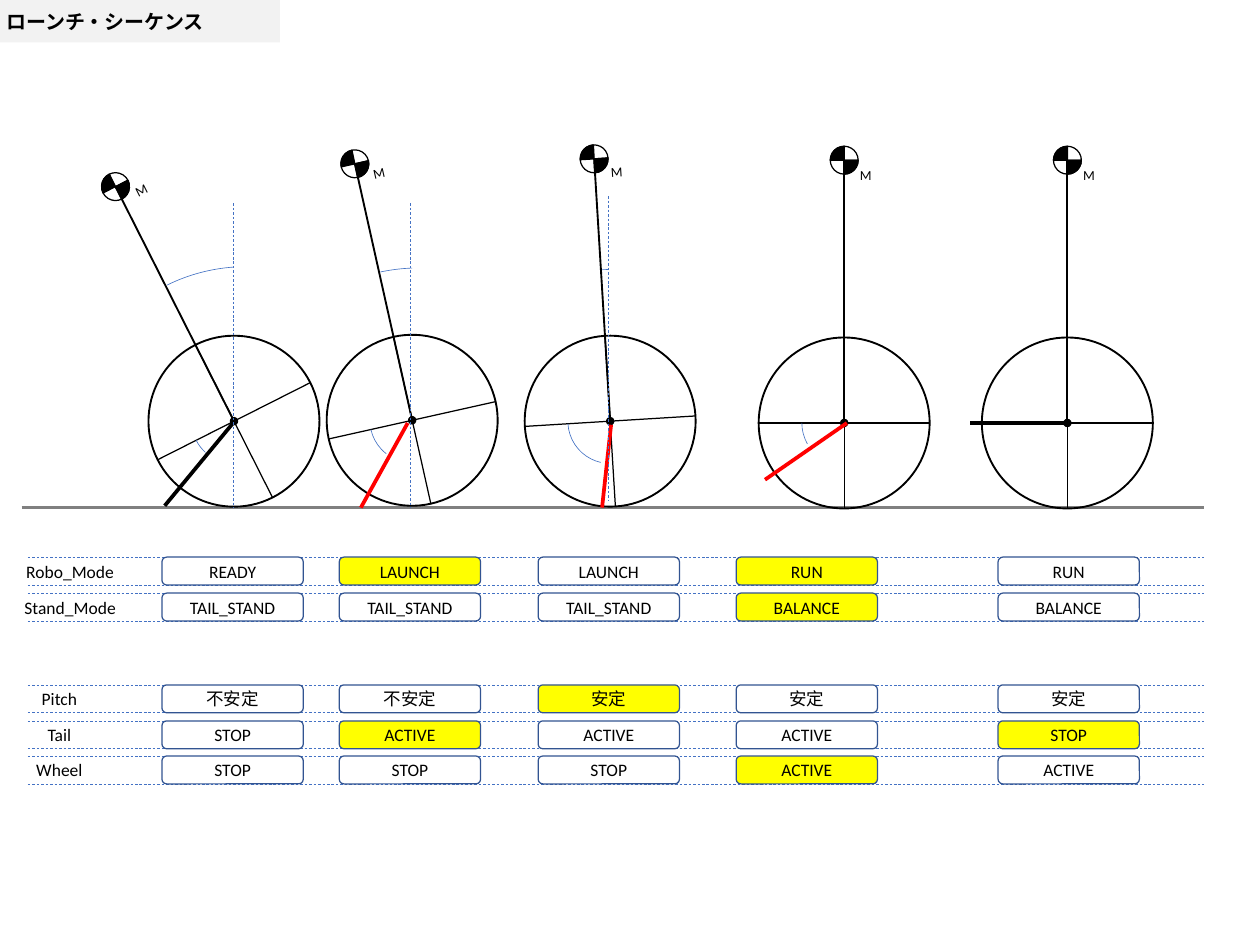
from math import cos, radians, sin

from lxml.etree import SubElement
from pptx import Presentation
from pptx.dml.color import RGBColor
from pptx.enum.dml import MSO_LINE as Dash
from pptx.enum.shapes import MSO_CONNECTOR as Link, MSO_SHAPE as Form
from pptx.enum.text import MSO_ANCHOR as Anchor, MSO_AUTO_SIZE as Fit, PP_ALIGN as Align
from pptx.oxml.ns import qn
from pptx.util import Inches, Pt

BLACK = RGBColor(0, 0, 0)
WHITE = RGBColor(255, 255, 255)
YELLOW = RGBColor(255, 255, 0)
RED = RGBColor(255, 0, 0)
GRAY = RGBColor(0x80, 0x80, 0x80)
PALE = RGBColor(0xF2, 0xF2, 0xF2)
BLUE = RGBColor(0x44, 0x72, 0xC4)
NAVY = RGBColor(0x32, 0x54, 0x91)

FONT = "Calibri"
LEFT, RIGHT, HIGH = 0.31, 13.38, 0.31
COLS = (1.8, 3.77, 5.98, 8.18, 11.09)

# pivot x, pivot y, tilt, start of tail arc, start of tilt arc
ROBOTS = (
    (2.6, 4.68, -26.8, 95.51, 175.64),
    (4.58, 4.67, -12.6, 84.17, 168.41),
    (6.78, 4.68, -3.5, 63.81, 163.44),
    (9.38, 4.7, 0, 90.21, None),
    (11.86, 4.7, 0, None, None),
)
TAILS = (
    ((2.59, 4.7), (1.83, 5.62), BLACK),
    ((4.53, 4.7), (4.01, 5.64), RED),
    ((6.79, 4.72), (6.69, 5.64), RED),
    ((9.41, 4.7), (8.5, 5.33), RED),
    ((11.85, 4.7), (10.78, 4.7), BLACK),
)
PLUMBS = ((2.59, 2.26), (4.56, 2.26), (6.76, 2.18))

# top, label, label width, states, highlighted columns
ROWS = (
    (6.19, "Robo_Mode", 1.26, ("READY", "LAUNCH", "LAUNCH", "RUN", "RUN"), (1, 3)),
    (6.59, "Stand_Mode", 1.26, ("TAIL_STAND",) * 3 + ("BALANCE",) * 2, (3,)),
    (7.61, "Pitch", 1.02, ("不安定",) * 2 + ("安定",) * 3, (2,)),
    (8.01, "Tail", 1.02, ("STOP", "ACTIVE", "ACTIVE", "ACTIVE", "STOP"), (1, 4)),
    (8.4, "Wheel", 1.02, ("STOP",) * 3 + ("ACTIVE",) * 2, (3,)),
)


def add_line(shapes, start, end, color, width, dash=None):
    """Draw a straight line without a shadow."""
    line = shapes.add_connector(Link.STRAIGHT, *map(Inches, start + end))
    line.line.color.rgb = color
    line.line.width = Pt(width)
    if dash:
        line.line.dash_style = dash
    SubElement(line._element.spPr, qn("a:effectLst"))


def add_form(shapes, form, box, fill=None, color=None, width=1, turn=0, adjust=()):
    """Draw a preset shape with optional fill, outline and rotation."""
    shape = shapes.add_shape(form, *map(Inches, box))
    shape.shadow.inherit = False
    shape.rotation = turn % 360
    for i, value in enumerate(adjust):
        shape.adjustments[i] = value
    if fill is None:
        shape.fill.background()
    else:
        shape.fill.solid()
        shape.fill.fore_color.rgb = fill
    if color is None:
        shape.line.fill.background()
    else:
        shape.line.color.rgb = color
        shape.line.width = Pt(width)
    return shape


def set_text(shape, text, size, align=Align.CENTER, bold=False):
    """Write one line of text, centred vertically."""
    frame = shape.text_frame
    frame.text = text
    frame.word_wrap = False
    frame.auto_size = Fit.NONE
    frame.vertical_anchor = Anchor.MIDDLE
    para = frame.paragraphs[0]
    para.alignment = align
    font = para.font
    font.name, font.size, font.bold = FONT, Pt(size), bold
    font.color.rgb = BLACK


def around(point, wide, high=None):
    """Return the box of a given size centred on a point."""
    high = high or wide
    return point[0] - wide / 2, point[1] - high / 2, wide, high


def add_robot(slide, x, y, tilt, tail, lean):
    """Draw a wheel, its body and mass, tilted about the pivot."""
    shapes = slide.shapes.add_group_shape().shapes
    angle = radians(tilt)

    def spot(across, down):
        """Turn an offset in the robot's frame into a slide point."""
        return (x + across * cos(angle) - down * sin(angle),
                y + across * sin(angle) + down * cos(angle))

    hub, mass, radius = spot(0, 0), spot(0, -2.92), 0.95
    for turn, fill, end in ((0, BLACK, 54.36), (0, None, 215.83), (180, BLACK, 54.36)):
        add_form(shapes, Form.PIE, around(mass, 0.31), fill, BLACK,
                 turn=tilt + turn, adjust=(0, end))
    add_form(shapes, Form.OVAL, around(hub, 2 * radius), None, BLACK, 1.5, tilt)
    add_line(shapes, spot(-radius, 0), spot(radius, 0), BLACK, 1)
    add_line(shapes, spot(0, -radius), spot(0, radius), BLACK, 1)
    add_form(shapes, Form.OVAL, around(hub, 0.08), BLACK, BLACK, turn=tilt)
    add_line(shapes, hub, mass, BLACK, 1.5)
    label = shapes.add_textbox(*map(Inches, around(spot(0.24, -2.76), 0.47, 0.31)))
    label.rotation = tilt % 360
    set_text(label, "M", 11)
    if tail:
        add_form(shapes, Form.ARC, around(hub, 0.94), None, BLUE, 0.5, tilt, (tail, 108))
    if lean:
        add_form(shapes, Form.ARC, around(spot(0, 0.3), 3.97), None, BLUE, 0.5,
                 tilt, (162.26, lean))


def add_row(shapes, top, name, wide, states, hot):
    """Draw a labelled row of states between two dashed rules."""
    for y in (top, top + HIGH):
        add_line(shapes, (LEFT, y), (RIGHT, y), BLUE, 0.5, Dash.DASH)
    label = add_form(shapes, Form.ROUNDED_RECTANGLE, (0.15, top, wide, HIGH))
    set_text(label, name, 14)
    for i, (x, state) in enumerate(zip(COLS, states)):
        box = add_form(shapes, Form.ROUNDED_RECTANGLE, (x, top, 1.57, HIGH),
                       YELLOW if i in hot else WHITE, NAVY)
        set_text(box, state, 14)


def add_title(slide, text):
    """Place the title on its pale band."""
    title = slide.shapes.title
    title.left, title.top, title.width, title.height = map(Inches, (-0.03, 0, 3.14, 0.47))
    title.fill.solid()
    title.fill.fore_color.rgb = PALE
    set_text(title, text, 16, Align.LEFT, True)


def main():
    """Build the launch sequence slide."""
    deck = Presentation()
    deck.slide_width, deck.slide_height = Inches(14), Inches(10.5)
    slide = deck.slides.add_slide(deck.slide_layouts[5])
    shapes = slide.shapes
    add_title(slide, "ローンチ・シーケンス")
    add_line(shapes, (0.24, 5.64), (RIGHT, 5.64), GRAY, 3)
    for robot in ROBOTS:
        add_robot(slide, *robot)
    for start, end, color in TAILS:
        add_line(shapes, start, end, color, 3)
    for x, y in PLUMBS:
        add_line(shapes, (x, y), (x, y + 3.38), BLUE, 0.5, Dash.DASH)
    for row in ROWS:
        add_row(shapes, *row)
    deck.save("out.pptx")


main()
